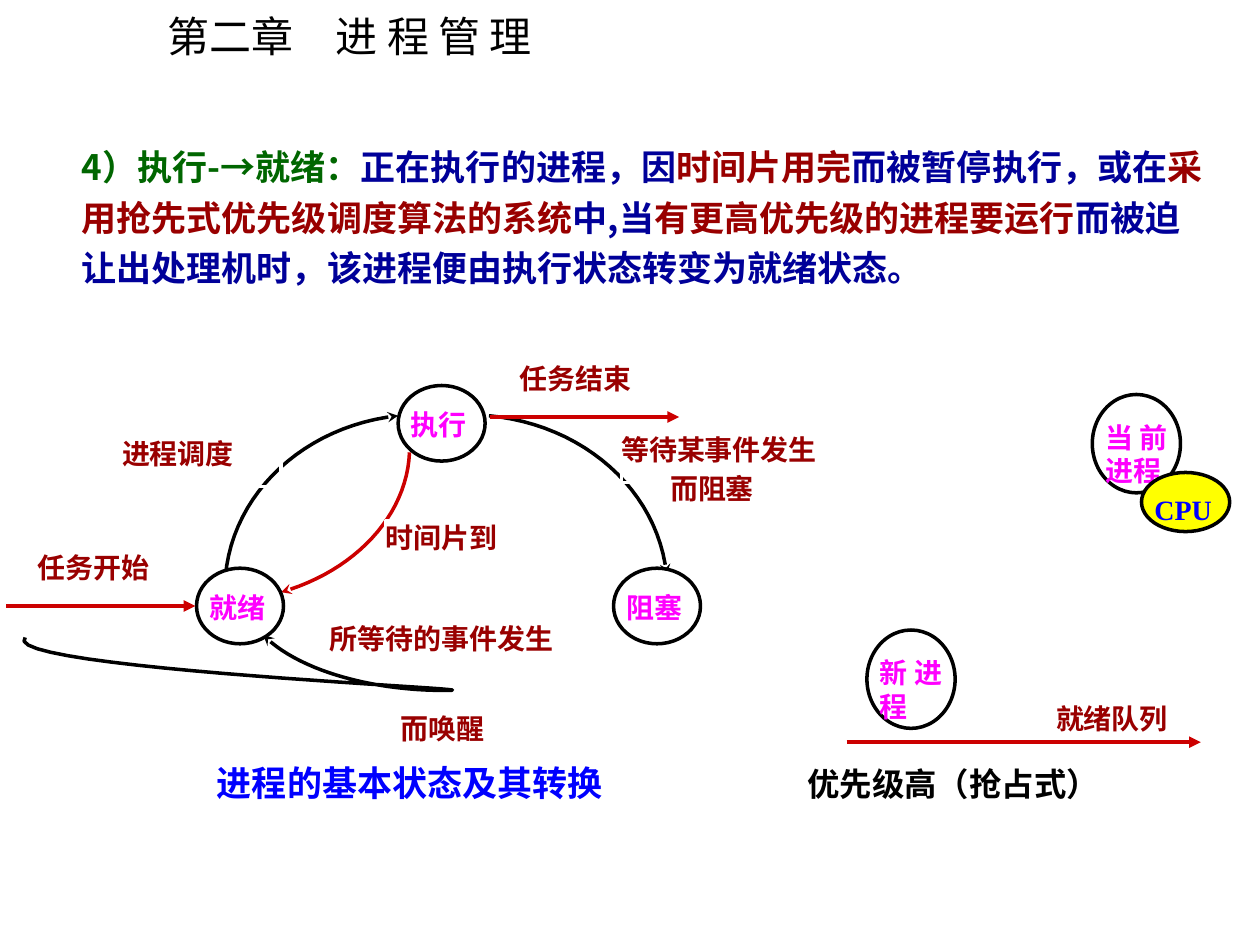
from dataclasses import dataclass

from lxml.etree import SubElement
from pptx import Presentation
from pptx.dml.color import RGBColor
from pptx.enum.shapes import MSO_CONNECTOR as Link, MSO_SHAPE as Shape
from pptx.enum.text import MSO_ANCHOR as Anchor, PP_ALIGN as Align
from pptx.oxml.ns import qn
from pptx.util import Pt


@dataclass(frozen=True)
class Theme:
    sans: str = "Noto Sans CJK SC"
    serif: str = "Times New Roman"
    black: str = "000000"
    white: str = "FFFFFF"
    yellow: str = "FFFF00"
    green: str = "006600"
    navy: str = "000099"
    blue: str = "0000FF"
    maroon: str = "990000"
    red: str = "CC0000"
    magenta: str = "FF00FF"
    title: float = 24
    body: float = 20
    caption: float = 18.5
    label: float = 16


T = Theme()


@dataclass(frozen=True)
class Node:
    text: str
    x: float
    y: float
    w: float = 49.7
    h: float = 43.2
    fill: str = T.white
    color: str = T.magenta


@dataclass(frozen=True)
class Label:
    text: str
    x: float
    y: float
    w: float
    top: float = 0
    left: float = 0
    color: str = T.maroon
    size: float = T.label
    spacing: float = 1.0


@dataclass(frozen=True)
class Arrow:
    x1: float
    x2: float
    y: float
    text: str
    tx: float
    ty: float
    tw: float
    th: float


@dataclass(frozen=True)
class Arc:
    start: tuple
    curves: tuple
    color: str = T.black


ARCS = [
    Arc((234, 258.5), (((232.6, 294.5), (203, 326.2), (160.6, 338.4)),), T.red),
    Arc((128.9, 329), (((133.2, 281.5), (174.2, 243.4), (227.5, 237.6)),)),
    Arc((14.4, 364.3), (((-3.6, 382.3), (298.8, 394.6), (254.2, 394.6)),
                        ((208.8, 394.6), (168.5, 381.6), (150.5, 362.9)))),
    Arc((279.4, 237.6), (((333.4, 242.6), (375.8, 280.1), (380.9, 328.3)),)),
]
NODES = [
    Node("执行", 227.5, 220.3),
    Node("就绪", 112.3, 324.7),
    Node("阻塞", 350.6, 324.7),
    Node("当前进程", 624.2, 225.4, 50.4, 56.2),
    Node("新进程", 495.4, 360, 50.4, 56.2),
    Node("CPU", 652.3, 270, 50.4, 33.8, T.yellow, T.blue),
]
LABELS = [
    Label("时间片到", 220.3, 297.4, 74.2),
    Label("进程调度", 69.8, 243.4, 90.7, 5.8),
    Label("等待某事件发生", 355, 241.2, 123.8, 5.8),
    Label("所等待的事件发生", 188.6, 343.4, 131.8, 11.5),
    Label("而阻塞", 383, 269.3, 74.2),
    Label("而唤醒", 229, 398.2, 57.6, 8.6),
    Label("进程的基本状态及其转换", 113, 429.1, 288, 5.8, 11, T.blue, T.body),
    Label("优先级高（抢占式）", 461.5, 433.4, 180, 5.8, 0, T.black, T.caption, 0.9),
]
ARROWS = [
    Arrow(3.6, 111.6, 346.3, "任务开始", 17.3, 310.3, 72, 23.8),
    Arrow(280.1, 388.1, 238.3, "任务结束", 293, 202.3, 72, 23.8),
    Arrow(483.8, 686.2, 424.1, "就绪队列", 584.6, 399.6, 101.5, 18.7),
]
BODY = [
    ("4）执行-→就绪：", T.green),
    ("正在执行的进程，因", T.navy),
    ("时间片用完", T.maroon),
    ("而被暂停执行，或在", T.navy),
    ("采用抢先式优先级调度算法的系统", T.maroon),
    ("中,当", T.navy),
    ("有更高优先级的进程要运行", T.maroon),
    ("而被迫让出处理机时，该进程便由执行状态转变为就绪状态。", T.navy),
]


def rgb(value: str) -> RGBColor:
    return RGBColor.from_string(value)


def write(s, runs, *, size=T.label, font=T.sans, bold=True, align=Align.LEFT,
          anchor=Anchor.TOP, wrap=True, insets=(7.2, 3.6, 7.2, 3.6), spacing=1.0):
    tf = s.text_frame
    tf.word_wrap = wrap
    tf.vertical_anchor = anchor
    tf.margin_left, tf.margin_top, tf.margin_right, tf.margin_bottom = map(Pt, insets)
    p = tf.paragraphs[0]
    p.alignment = align
    p.line_spacing = spacing
    p.space_before = Pt(0)
    for text, color in runs:
        r = p.add_run()
        r.text = text
        r.font.size = Pt(size)
        r.font.bold = bold
        r.font.color.rgb = rgb(color)
        r.font.name = font
        SubElement(r.font._element, qn("a:ea"), typeface=T.sans)


def add_box(slide, kind, x, y, w, h, fill=None, line=T.white, width=2.0):
    s = slide.shapes.add_shape(kind, Pt(x), Pt(y), Pt(w), Pt(h))
    s.shadow.inherit = False
    if fill:
        s.fill.solid()
        s.fill.fore_color.rgb = rgb(fill)
    else:
        s.fill.background()
    s.line.color.rgb = rgb(line)
    s.line.width = Pt(width)
    return s


def point_line(s, color: str, width: float, head: str) -> None:
    s.line.color.rgb = rgb(color)
    s.line.width = Pt(width)
    SubElement(s.line._get_or_add_ln(), qn("a:tailEnd"), type=head)


def bezier(a, b, c, d, steps=24):
    for i in range(1, steps + 1):
        t = i / steps
        u = 1 - t
        yield tuple(Pt(u**3 * e + 3 * u * u * t * f + 3 * u * t * t * g + t**3 * h)
                    for e, f, g, h in zip(a, b, c, d))


def draw_arc(slide, arc: Arc) -> None:
    fb = slide.shapes.build_freeform(*map(Pt, arc.start))
    start = arc.start
    for b, c, d in arc.curves:
        fb.add_line_segments(list(bezier(start, b, c, d)), close=False)
        start = d
    s = fb.convert_to_shape()
    s.shadow.inherit = False
    s.fill.background()
    point_line(s, arc.color, 2, "stealth")


def draw_node(slide, n: Node) -> None:
    s = add_box(slide, Shape.OVAL, n.x, n.y, n.w, n.h, n.fill, T.black)
    write(s, [(n.text, n.color)], font=T.serif, align=Align.JUSTIFY,
          insets=(0, 6.5, 0, 0))


def draw_label(slide, lb: Label) -> None:
    s = add_box(slide, Shape.RECTANGLE, lb.x, lb.y, lb.w, 34.6)
    font = T.serif if lb.size == T.label else T.sans
    write(s, [(lb.text, lb.color)], size=lb.size, font=font, align=Align.JUSTIFY,
          insets=(lb.left, lb.top, 0, 0), spacing=lb.spacing)


def draw_arrow(slide, a: Arrow) -> None:
    s = slide.shapes.add_connector(Link.STRAIGHT, Pt(a.x1), Pt(a.y), Pt(a.x2), Pt(a.y))
    point_line(s, T.red, 2.25, "triangle")
    SubElement(s._element.spPr, qn("a:effectLst"))
    s = add_box(slide, Shape.RECTANGLE, a.tx, a.ty, a.tw, a.th, T.white, width=0.75)
    write(s, [(a.text, T.maroon)], align=Align.CENTER, anchor=Anchor.MIDDLE,
          wrap=False, insets=(7.2, 3.6, 7.2, 0))


def main() -> None:
    prs = Presentation()
    prs.slide_width, prs.slide_height = Pt(720), Pt(540)
    slide = prs.slides.add_slide(prs.slide_layouts[5])
    s = slide.shapes.title
    s.left, s.top, s.width, s.height = map(Pt, (88.6, 2.2, 227.5, 36))
    write(s, [("第二章\u3000进 程 管 理".replace("\u3000", "　"), T.black)],
          size=T.title, bold=False, wrap=False)
    s = slide.shapes.add_textbox(*map(Pt, (39.6, 74.9, 660.2, 93.6)))
    write(s, BODY, size=T.body, spacing=1.2)
    for draw, items in ((draw_arc, ARCS), (draw_node, NODES),
                        (draw_label, LABELS), (draw_arrow, ARROWS)):
        for item in items:
            draw(slide, item)
    prs.save("out.pptx")


if __name__ == "__main__":
    main()
